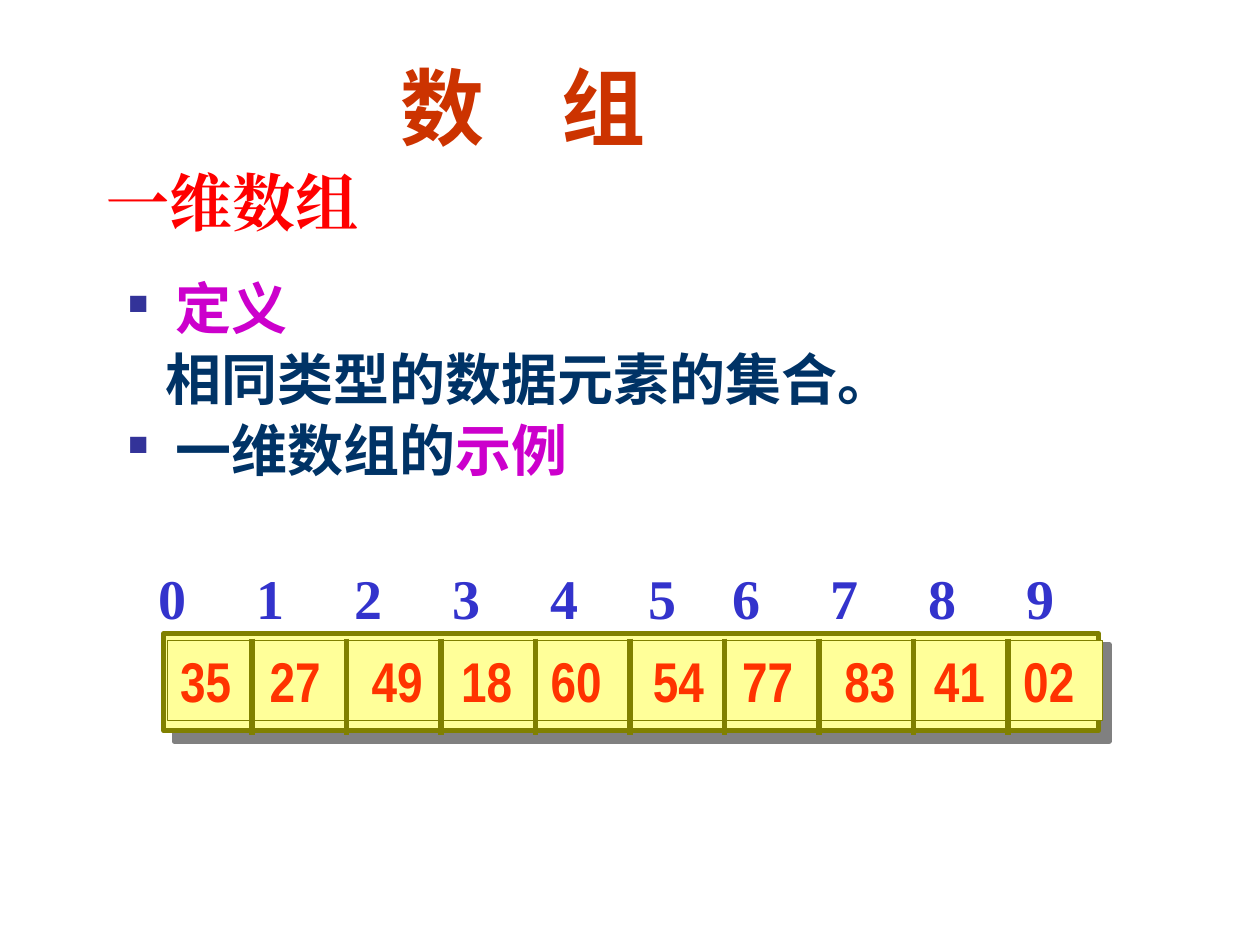
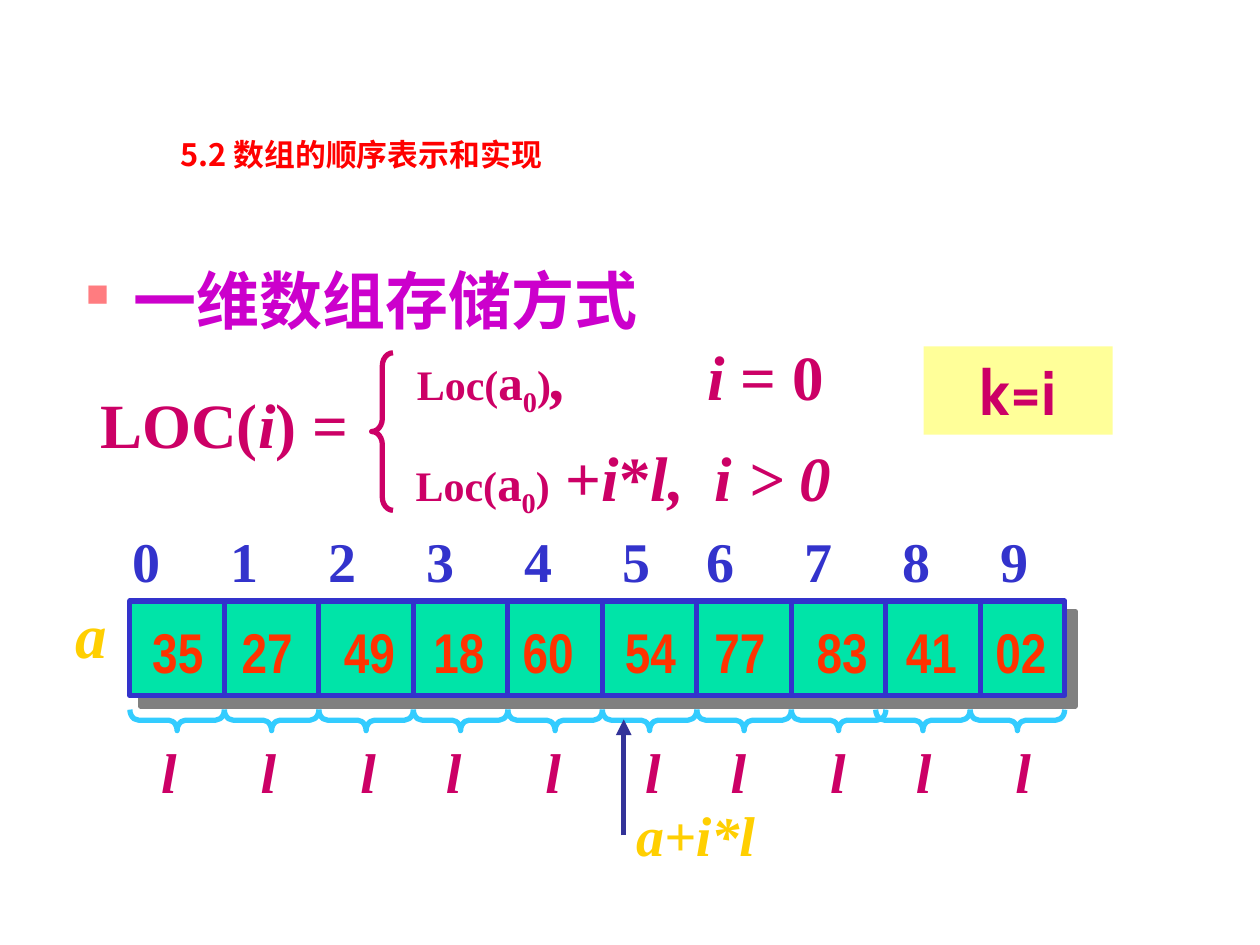
from dataclasses import dataclass
from itertools import accumulate
from typing import Optional

from lxml import etree
from pptx import Presentation
from pptx.dml.color import RGBColor
from pptx.enum import shapes, text
from pptx.oxml import ns
from pptx.util import Pt

COLORS = {
    "title": "CC3300", "red": "FF0000", "purple": "CC00CC", "navy": "003366",
    "indigo": "333399", "index": "3333CC", "value": "FF3300", "olive": "808000",
    "cream": "FFFF99", "green": "00E4A8", "pink": "FF7C80", "formula": "CC0066",
    "gold": "FFCF01", "sky": "33CCFF", "shadow": "808080",
}
SERIF = "Times New Roman"
NARROW = "Arial Narrow"
SANS = "Cabin"
CHINESE = "Noto Sans CJK SC"
CELL_WIDTH = 54
CELL_COUNT = 10
BAND_WIDTH = 534.2


@dataclass(frozen=True)
class Box:
    left: float
    top: float
    width: float
    height: float

    def lengths(self) -> tuple:
        return Pt(self.left), Pt(self.top), Pt(self.width), Pt(self.height)


@dataclass(frozen=True)
class Run:
    text: str
    size: Optional[float] = None
    color: Optional[str] = None
    italic: Optional[bool] = None
    subscript: bool = False


@dataclass(frozen=True)
class Paragraph:
    runs: tuple
    bullet: Optional[str] = None
    indent: float = 0
    tabs: tuple = ()
    before: float = 0


@dataclass(frozen=True)
class SpacedRow:
    items: str
    gaps: tuple
    item_width: float
    space_width: float
    font: str
    color: str
    italic: bool = False


@dataclass(frozen=True)
class Band:
    box: Box
    fill: str
    line: str
    first_divider: float
    divider_top: float
    divider_height: float


INDEXES = SpacedRow("0 1 2 3 4 5 6 7 8 9", (5, 5, 5, 5, 5, 4, 5, 5, 5), 16, 8, SERIF, "index")
VALUES = SpacedRow("35 27 49 18 60 54 77 83 41 02", (3, 4, 3, 3, 4, 3, 4, 3, 3), 29.2, 7.3,
                   NARROW, "value")
LENGTHS = SpacedRow("l l l l l l l l l l", (6, 6, 5, 6, 6, 5, 6, 5, 6), 8.9, 8, SERIF,
                    "formula", True)


def rgb(name: str) -> RGBColor:
    return RGBColor.from_string(COLORS[name])


def add_child(parent, tag: str, **attributes: str):
    child = etree.SubElement(parent, ns.qn(tag))
    for key, value in attributes.items():
        child.set(key, value)
    return child


def add_preset(slide, kind, box: Box, fill: Optional[str] = None,
               line: Optional[str] = None, weight: float = 3):
    shape = slide.shapes.add_shape(kind, *box.lengths())
    shape.shadow.inherit = False
    if fill:
        shape.fill.solid()
        shape.fill.fore_color.rgb = rgb(fill)
    else:
        shape.fill.background()
    if line:
        shape.line.color.rgb = rgb(line)
        shape.line.width = Pt(weight)
    else:
        shape.line.fill.background()
    return shape


def add_text(slide, box: Box, *paragraphs, shape=None, font: str = SERIF, size: float = 32,
             color: str = "formula", italic: bool = False, align=text.PP_ALIGN.LEFT,
             anchor=text.MSO_ANCHOR.TOP, spacing=None):
    shape = shape or slide.shapes.add_textbox(*box.lengths())
    frame = shape.text_frame
    frame.word_wrap = True
    frame.vertical_anchor = anchor
    for number, content in enumerate(paragraphs):
        if isinstance(content, str):
            content = Paragraph((Run(content),))
        paragraph = frame.add_paragraph() if number else frame.paragraphs[0]
        properties = paragraph._p.get_or_add_pPr()
        properties.set("marL", str(Pt(content.indent)))
        if content.bullet:
            properties.set("indent", str(-Pt(content.indent)))
            bullet_color = add_child(properties, "a:buClr")
            add_child(bullet_color, "a:srgbClr", val=COLORS[content.bullet])
            add_child(properties, "a:buSzPct", val="50000")
            add_child(properties, "a:buChar", char="■")
        if content.tabs:
            tab_list = add_child(properties, "a:tabLst")
            for position in content.tabs:
                add_child(tab_list, "a:tab", pos=str(Pt(position)), algn="l")
        paragraph.alignment = align
        paragraph.space_before = Pt(content.before)
        if spacing:
            paragraph.line_spacing = spacing
        for item in content.runs:
            run = paragraph.add_run()
            run.text = item.text
            run.font.name = font
            run.font.size = Pt(item.size or size)
            run.font.bold = True
            run.font.italic = italic if item.italic is None else item.italic
            run.font.color.rgb = rgb(item.color or color)
            run_properties = run._r.get_or_add_rPr()
            add_child(run_properties, "a:ea", typeface=font)
            if item.subscript:
                run_properties.set("baseline", "-25000")
    return shape


def add_row(slide, row: SpacedRow, left: float, top: float, shape=None) -> None:
    tabs = tuple(accumulate(row.item_width + row.space_width * gap for gap in row.gaps))
    content = Paragraph((Run("\t".join(row.items.split())),), tabs=tabs)
    add_text(slide, Box(left, top, BAND_WIDTH, 46), content, shape=shape,
             font=row.font, color=row.color, italic=row.italic)


def add_line(slide, start: tuple, end: tuple, color: str, arrow: bool = False) -> None:
    connector = slide.shapes.add_connector(
        shapes.MSO_CONNECTOR.STRAIGHT, *map(Pt, start + end))
    connector.line.color.rgb = rgb(color)
    connector.line.width = Pt(3)
    if arrow:
        add_child(connector.line._get_or_add_ln(), "a:tailEnd", type="triangle")
    add_child(connector._element.spPr, "a:effectLst")


def add_band(slide, band: Band) -> None:
    shape = add_preset(slide, shapes.MSO_SHAPE.RECTANGLE, band.box, band.fill, band.line)
    effects = shape._element.spPr.find(ns.qn("a:effectLst"))
    shadow = add_child(effects, "a:outerShdw", dist=str(Pt(8.5)), dir="2700000",
                       algn="ctr", rotWithShape="0")
    add_child(shadow, "a:srgbClr", val=COLORS["shadow"])


def add_dividers(slide, band: Band) -> None:
    for number in range(CELL_COUNT - 1):
        left = band.first_divider + number * CELL_WIDTH
        add_line(slide, (left, band.divider_top),
                 (left, band.divider_top + band.divider_height), band.line)


def add_brace(slide, box: Box, color: str, curve: float, rotation: float = 0) -> None:
    brace = add_preset(slide, shapes.MSO_SHAPE.LEFT_BRACE, box, line=color)
    brace.adjustments[0] = curve
    brace.rotation = rotation


def build_definition(slide) -> None:
    add_text(slide, Box(222, 39, 240, 54), Paragraph((Run("数\t组"),), tabs=(92,)),
             font=SANS, size=48, color="title", anchor=text.MSO_ANCHOR.BOTTOM)
    add_text(slide, Box(66, 153, 594, 132),
             Paragraph((Run("定义", color="purple"),), "indigo", 27),
             Paragraph((Run("相同类型的数据元素的集合。"),), indent=21.5, before=2),
             Paragraph((Run("一维数组的"), Run("示例", color="purple")), "indigo", 27, before=2),
             font=CHINESE, color="navy", spacing=Pt(38.4))
    band = Band(Box(93.6, 362.2, BAND_WIDTH, 55.4), "cream", "olive", 144, 365, 55)
    add_band(slide, band)
    inner = add_preset(slide, shapes.MSO_SHAPE.RECTANGLE,
                       Box(95.8, 365.8, BAND_WIDTH, 46), "cream", "olive", 0.75)
    add_row(slide, VALUES, 95.8, 365.8, inner)
    add_dividers(slide, band)
    add_row(slide, INDEXES, 83.5, 318.2)
    add_text(slide, Box(54, 90, 215, 50), "一维数组", size=36, color="red")


def build_storage(slide) -> None:
    add_text(slide, Box(42, 146, 540, 54),
             Paragraph((Run("一维数组存储方式"),), "pink", 27),
             font=SANS, size=36, color="purple")
    band = Band(Box(74.2, 343.4, BAND_WIDTH, 54), "green", "index", 128.2, 343.4, 54)
    add_band(slide, band)
    add_row(slide, VALUES, 79.9, 349.2)
    add_dividers(slide, band)
    add_row(slide, INDEXES, 68.4, 297.4)
    depth = 12
    for number in range(CELL_COUNT):
        left = band.box.left + number * CELL_WIDTH
        if number >= CELL_COUNT - 2:
            left = band.box.left + BAND_WIDTH - (CELL_COUNT - number) * CELL_WIDTH
        add_brace(slide, Box(left + (CELL_WIDTH - depth) / 2, 384.5, depth, CELL_WIDTH),
                  "sky", 0.41, 270)
    add_row(slide, LENGTHS, 85, 417.6)
    add_brace(slide, Box(212.4, 201.6, 12.2, 90), "formula", 0.61)
    add_text(slide, Box(50.4, 216.7, 165, 50),
             Paragraph((Run("LOC("), Run("i", italic=True), Run(") ="))), size=36)
    location = (Run("Loc(", 24), Run("a", 28), Run("0", 28, subscript=True), Run(")", 24))
    add_text(slide, Box(230.4, 247, 414, 53),
             Paragraph(location + (Run(" ", italic=True), Run("+"), Run("i", italic=True),
                                   Run("*"), Run("l,\ti > 0", italic=True)), tabs=(171,)),
             size=36)
    add_text(slide, Box(231.1, 189.4, 293, 53),
             Paragraph(location + (Run(",\ti ", italic=True), Run("= 0")), tabs=(166,)),
             size=36)
    add_line(slide, (356.4, 477.4), (356.4, 411.1), "indigo", arrow=True)
    add_text(slide, Box(356.4, 453.6, 90, 46), "a+i*l", color="gold", italic=True)
    add_text(slide, Box(36, 337, 36, 50), "a", size=36, color="gold", italic=True)
    add_text(slide, Box(95.8, 77.8, 612, 60), "5.2 数组的顺序表示和实现",
             font=CHINESE, size=17.6, color="red", spacing=0.8)
    box = Box(527.8, 198, 108, 50.4)
    label = add_preset(slide, shapes.MSO_SHAPE.RECTANGLE, box, "cream")
    add_text(slide, box, "k=i", shape=label, font=SANS, size=36,
             align=text.PP_ALIGN.CENTER)


def main() -> None:
    presentation = Presentation()
    presentation.slide_width, presentation.slide_height = Pt(720), Pt(540)
    for build in (build_definition, build_storage):
        build(presentation.slides.add_slide(presentation.slide_layouts[6]))
    presentation.save("out.pptx")


if __name__ == "__main__":
    main()
